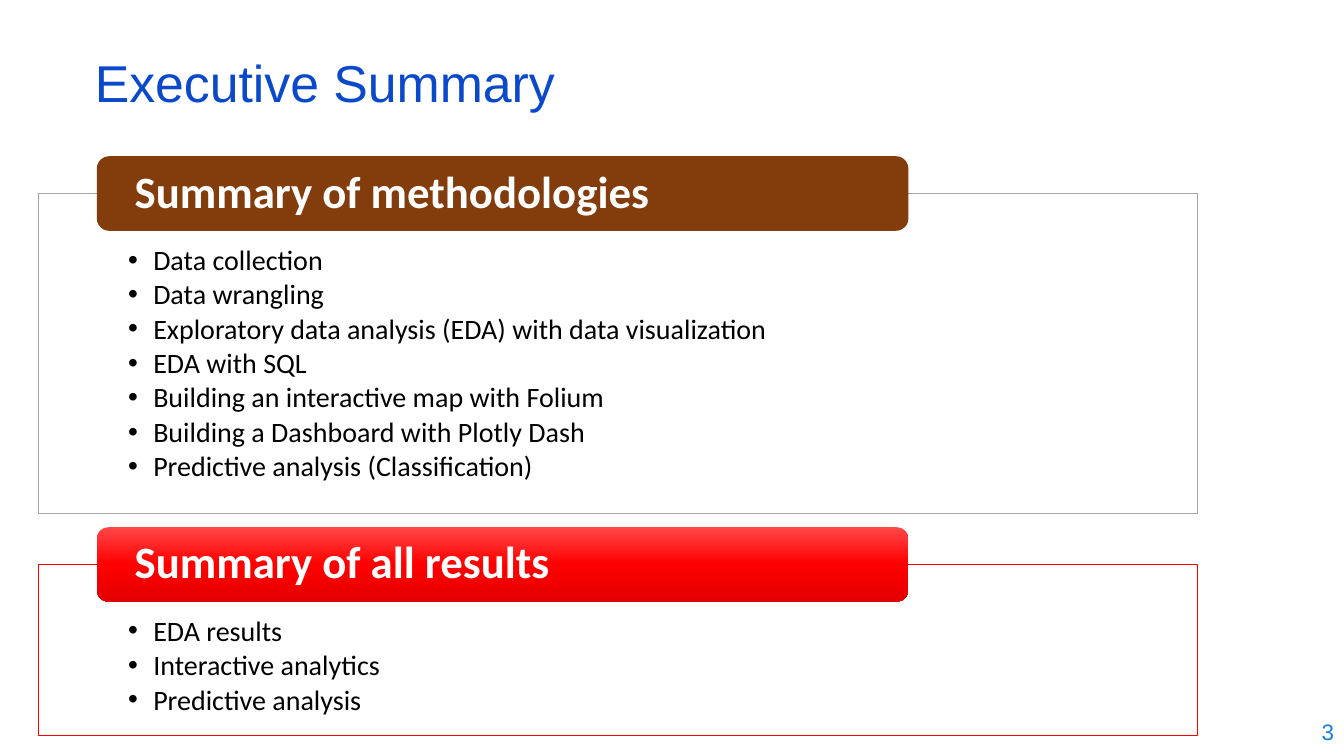
"""Build the Executive Summary slide with two titled list panels."""
from copy import deepcopy

from lxml import etree
from pptx import Presentation
from pptx.dml.color import RGBColor
from pptx.enum import shapes, text
from pptx.oxml.ns import qn
from pptx.util import Inches, Pt

COLORS = {
    "title": "0B49CB", "number": "1C7DDB", "white": "FFFFFF", "black": "000000",
    "grey": "A5A5A5", "brown": "833C0B", "red": "FE0000",
    "red_top": "FF4747", "red_mid": "FF0000", "red_low": "E30000",
}
FORMATS = {
    "title": {"name": "Arial", "size": Pt(37), "bold": False},
    "number": {"name": "Arial", "size": Pt(16), "bold": False},
    "header": {"name": "Calibri", "size": Pt(32), "bold": True},
    "item": {"name": "Calibri", "size": Pt(20), "bold": False},
}
PANELS = [
    {
        "heading": "Summary of methodologies", "top": 1.92, "height": 3.17,
        "line": "grey", "fill": ["brown"],
        "items": [
            "Data collection",
            "Data wrangling",
            "Exploratory data analysis (EDA) with data visualization",
            "EDA with SQL",
            "Building an interactive map with Folium",
            "Building a Dashboard with Plotly Dash",
            "Predictive analysis (Classification)",
        ],
    },
    {
        "heading": "Summary of all results", "top": 5.6, "height": 1.7,
        "line": "red", "fill": ["red_top", "red_mid", "red_low"],
        "items": ["EDA results", "Interactive analytics", "Predictive analysis"],
    },
]


def rgb(name):
    """Return a palette colour."""
    return RGBColor.from_string(COLORS[name])


def place(sp, left, top, width, height):
    """Move and size a shape in inches."""
    box = {"left": left, "top": top, "width": width, "height": height}
    for key, value in box.items():
        setattr(sp, key, Inches(value))


def set_frame(tf, anchor, left, top, right, bottom):
    """Set wrapping, anchor and insets of a text frame."""
    tf.word_wrap = True
    tf.auto_size = text.MSO_AUTO_SIZE.NONE
    tf.vertical_anchor = anchor
    insets = {"left": left, "top": top, "right": right, "bottom": bottom}
    for side, value in insets.items():
        setattr(tf, f"margin_{side}", Inches(value))


def write(p, words, style, color, align=text.PP_ALIGN.LEFT, spacing=0.9):
    """Write one formatted run into a paragraph."""
    p.alignment = align
    p.line_spacing = spacing
    r = p.add_run()
    r.text = words
    for key, value in FORMATS[style].items():
        setattr(r.font, key, value)
    r.font.color.rgb = rgb(color)


def add_bullet(p):
    """Give a paragraph a hanging round bullet."""
    pPr = p._p.get_or_add_pPr()
    pPr.set("marL", str(Inches(0.25)))
    pPr.set("indent", str(-Inches(0.25)))
    etree.SubElement(pPr, qn("a:buChar")).set("char", "•")


def fill_shape(sp, names):
    """Fill with one colour or a top-to-bottom gradient."""
    if len(names) == 1:
        sp.fill.solid()
        sp.fill.fore_color.rgb = rgb(names[0])
        return
    sp.fill.gradient()
    sp.fill.gradient_angle = 270
    stops = sp._element.spPr.find(".//" + qn("a:gsLst"))
    while len(stops) < len(names):
        stops.append(deepcopy(stops[-1]))
    for i, (stop, name) in enumerate(zip(sp.fill.gradient_stops, names)):
        stop.position = i / (len(names) - 1)
        stop.color.rgb = rgb(name)


def fill_list(sp, panel):
    """Turn a body placeholder into a framed bullet list."""
    place(sp, 0.38, panel["top"], 11.5, panel["height"])
    fill_shape(sp, ["white"])
    color = sp._element.spPr.find(".//" + qn("a:srgbClr"))
    etree.SubElement(color, qn("a:alpha")).set("val", "90000")
    sp.line.color.rgb = rgb(panel["line"])
    sp.line.width = Pt(0.75)
    tf = sp.text_frame
    set_frame(tf, text.MSO_ANCHOR.TOP, 0.89, 0.52, 0.89, 0.16)
    for i, item in enumerate(panel["items"]):
        p = tf.add_paragraph() if i else tf.paragraphs[0]
        add_bullet(p)
        p.space_before = Pt(3 if i else 0)
        write(p, item, "item", "black")


def add_header(s, panel):
    """Add the rounded heading bar on the frame's top edge."""
    height = 0.74
    sp = s.shapes.add_shape(
        shapes.MSO_SHAPE.ROUNDED_RECTANGLE, Inches(0.96),
        Inches(panel["top"] - height / 2), Inches(8.05), Inches(height))
    sp.shadow.inherit = False
    sp.line.fill.background()
    fill_shape(sp, panel["fill"])
    tf = sp.text_frame
    set_frame(tf, text.MSO_ANCHOR.MIDDLE, 0.34, 0, 0.34, 0)
    write(tf.paragraphs[0], panel["heading"], "header", "white")


def set_title(s, words):
    """Place and format the slide title."""
    place(s.shapes.title, 0.84, 0.59, 11.5, 0.6)
    tf = s.shapes.title.text_frame
    set_frame(tf, text.MSO_ANCHOR.MIDDLE, 0.1, 0.05, 0.1, 0.05)
    write(tf.paragraphs[0], words, "title", "title", spacing=0.7)


def add_number(s, number):
    """Add the page number at the lower right."""
    sp = s.shapes.add_textbox(Inches(10.33), Inches(7.04), Inches(3), Inches(0.44))
    set_frame(sp.text_frame, text.MSO_ANCHOR.MIDDLE, 0.1, 0.05, 0.1, 0.05)
    write(sp.text_frame.paragraphs[0], number, "number", "number",
          text.PP_ALIGN.RIGHT, 1.0)


def main():
    """Build and save the slide."""
    prs = Presentation()
    prs.slide_width, prs.slide_height = Inches(13.33), Inches(7.5)
    s = prs.slides.add_slide(prs.slide_layouts.get_by_name("Two Content"))
    set_title(s, "Executive Summary")
    for i, panel in enumerate(PANELS, start=1):
        fill_list(s.placeholders[i], panel)
        add_header(s, panel)
    add_number(s, "3")
    prs.save("out.pptx")


if __name__ == "__main__":
    main()
